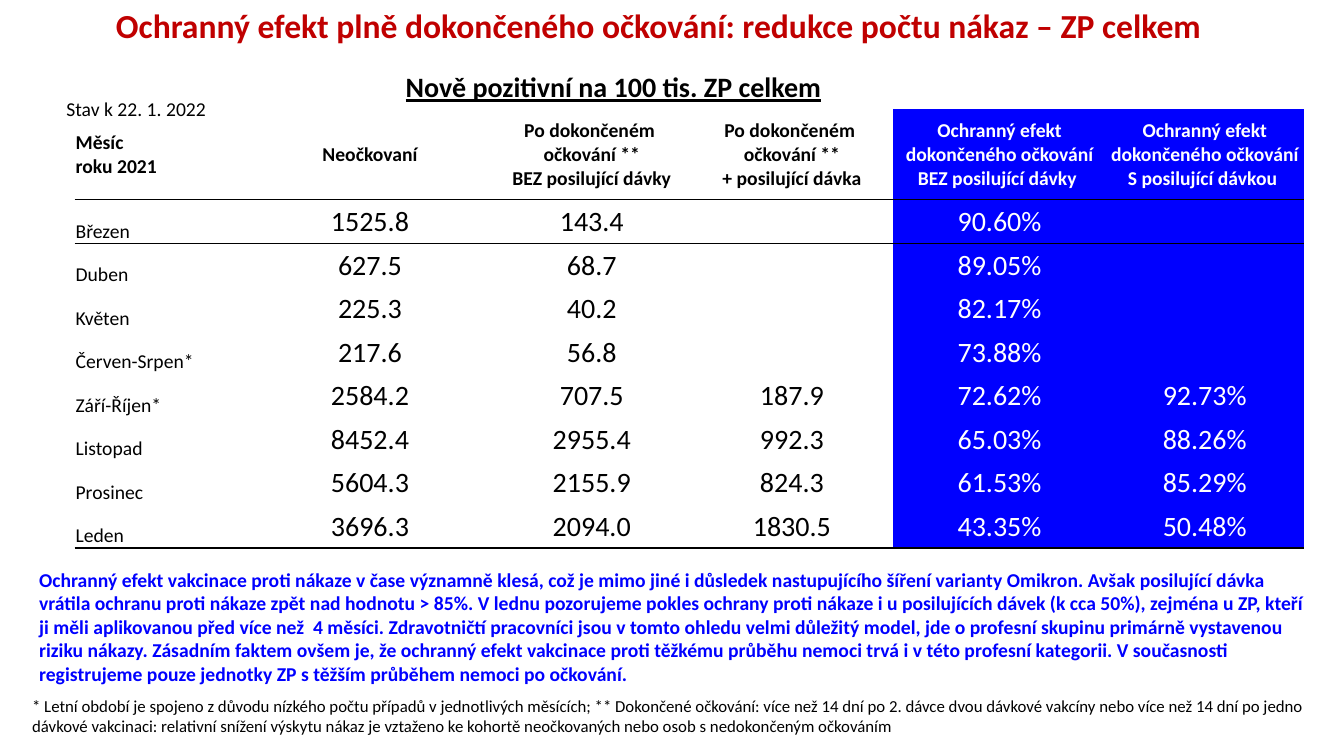
from lxml import etree
from pptx import Presentation
from pptx.dml.color import RGBColor
from pptx.enum.text import MSO_ANCHOR as Anchor, MSO_AUTO_SIZE as AutoSize, PP_ALIGN as Align
from pptx.oxml.ns import qn
from pptx.util import Inches, Pt

FONT = "Calibri"
BLACK, WHITE, RED, BLUE = "000000", "FFFFFF", "C00000", "0000FF"
NO_STYLE = "{2D5ABB26-0587-4C30-8999-92F81FD0307C}"

TITLE = "Ochranný efekt plně dokončeného očkování: redukce počtu nákaz – ZP celkem "
SUBTITLE = "Nově pozitivní na 100 tis. ZP celkem"
STATUS = "Stav k 22. 1. 2022"
CONCLUSION = (
    "Ochranný efekt vakcinace proti nákaze v čase významně klesá, což je mimo jiné i důsledek "
    "nastupujícího šíření varianty Omikron. Avšak posilující dávka vrátila ochranu proti nákaze "
    "zpět nad hodnotu > 85%. V lednu pozorujeme pokles ochrany proti nákaze i u posilujících dávek "
    "(k cca 50%), zejména u ZP, kteří ji měli aplikovanou před více než  4 měsíci. Zdravotničtí "
    "pracovníci jsou v tomto ohledu velmi důležitý model, jde o profesní skupinu primárně "
    "vystavenou riziku nákazy. Zásadním faktem ovšem je, že ochranný efekt vakcinace proti těžkému "
    "průběhu nemoci trvá i v této profesní kategorii. V současnosti registrujeme pouze jednotky ZP "
    "s těžším průběhem nemoci po očkování."
)
FOOTNOTE = (
    "* Letní období je spojeno z důvodu nízkého počtu případů v jednotlivých měsících; "
    "** Dokončené očkování: více než 14 dní po 2. dávce dvou dávkové vakcíny nebo více než 14 dní "
    "po jedno dávkové vakcinaci: relativní snížení výskytu nákaz je vztaženo ke kohortě "
    "neočkovaných nebo osob s nedokončeným očkováním"
)

HEADERS = [
    ["Měsíc", "roku 2021"],
    ["Neočkovaní"],
    ["Po dokončeném ", "očkování **", "BEZ posilující dávky"],
    ["Po dokončeném ", "očkování **", "+ posilující dávka"],
    ["Ochranný efekt dokončeného očkování BEZ posilující dávky "],
    ["Ochranný efekt dokončeného očkování S posilující dávkou "],
]
MONTHS = [
    ("Březen", "1525.8", "143.4", "", "90.60%", ""),
    ("Duben", "627.5", "68.7", "", "89.05%", ""),
    ("Květen", "225.3", "40.2", "", "82.17%", ""),
    ("Červen-Srpen*", "217.6", "56.8", "", "73.88%", ""),
    ("Září-Říjen*", "2584.2", "707.5", "187.9", "72.62%", "92.73%"),
    ("Listopad", "8452.4", "2955.4", "992.3", "65.03%", "88.26%"),
    ("Prosinec", "5604.3", "2155.9", "824.3", "61.53%", "85.29%"),
    ("Leden", "3696.3", "2094.0", "1830.5", "43.35%", "50.48%"),
]
COLUMN_WIDTHS = [1.71, 2.44, 1.96, 2.01, 2.11, 1.96]
TABLE_BOX = (0.74, 0.65, 12.19, 4.79)
HEADER_HEIGHT = 0.9
FIRST_EFFECT_COLUMN = 4


def rgb(color):
    return RGBColor.from_string(color)


def write(frame, lines, size, color=BLACK, bold=False, underline=False, align=Align.LEFT):
    for i, line in enumerate(lines):
        paragraph = frame.paragraphs[0] if i == 0 else frame.add_paragraph()
        paragraph.alignment = align
        run = paragraph.add_run()
        run.text = line
        font = run.font
        font.name, font.size, font.bold = FONT, Pt(size), bold
        font.underline = underline
        font.color.rgb = rgb(color)


def add_text(slide, box, text, size, **style):
    frame = slide.shapes.add_textbox(*map(Inches, box)).text_frame
    frame.word_wrap = True
    frame.auto_size = AutoSize.SHAPE_TO_FIT_TEXT
    write(frame, [text], size, **style)


def add_border(cell, side):
    line = etree.SubElement(cell._tc.get_or_add_tcPr(), qn(f"a:ln{side}"), w=str(Pt(1)))
    fill = etree.SubElement(line, qn("a:solidFill"))
    etree.SubElement(fill, qn("a:srgbClr"), val=BLACK)


def format_cell(cell, is_effect):
    cell.margin_left = cell.margin_right = cell.margin_top = Inches(0.01)
    cell.margin_bottom = 0
    cell.vertical_anchor = Anchor.MIDDLE
    if is_effect:
        cell.fill.solid()
        cell.fill.fore_color.rgb = rgb(BLUE)
    else:
        cell.fill.background()


def add_month_table(slide):
    row_count = len(MONTHS) + 2
    frame = slide.shapes.add_table(row_count, len(HEADERS), *map(Inches, TABLE_BOX))
    table = frame.table
    table.first_row = table.horz_banding = False
    table._tbl.tblPr.find(qn("a:tableStyleId")).text = NO_STYLE
    for column, width in zip(table.columns, COLUMN_WIDTHS):
        column.width = Inches(width)
    for row in table.rows:
        row.height = Inches((TABLE_BOX[3] - HEADER_HEIGHT) / (row_count - 1))
    table.rows[1].height = Inches(HEADER_HEIGHT)
    table.cell(0, 2).merge(table.cell(0, 5))

    for c, header in enumerate(HEADERS):
        is_effect = c >= FIRST_EFFECT_COLUMN
        color = WHITE if is_effect else BLACK
        align = Align.CENTER if c else Align.LEFT
        for r, side in ((1, "B"), (2, "T"), (row_count - 1, "B")):
            add_border(table.cell(r, c), side)
        format_cell(table.cell(0, c), False)
        header_cell = table.cell(1, c)
        format_cell(header_cell, is_effect)
        write(header_cell.text_frame, header, 14, color, bold=True, align=align)
        for r, month in enumerate(MONTHS, start=2):
            cell = table.cell(r, c)
            format_cell(cell, is_effect)
            if c == 0:
                cell.vertical_anchor = Anchor.BOTTOM
            if month[c]:
                write(cell.text_frame, [month[c]], 20 if c else 14, color, align=align)


def main():
    deck = Presentation()
    deck.slide_width, deck.slide_height = Inches(13.33), Inches(7.5)
    slide = deck.slides.add_slide(deck.slide_layouts[5])

    title = slide.shapes.title
    title.left, title.top, title.width, title.height = map(Inches, (0.22, 0.04, 12.7, 1.45))
    title.text_frame.vertical_anchor = Anchor.TOP
    title.text_frame.auto_size = AutoSize.NONE
    write(title.text_frame, [TITLE], 24, RED, bold=True, align=Align.CENTER)
    title.text_frame.paragraphs[0].line_spacing = 0.9

    add_text(slide, (3.87, 0.64, 4.43, 0.44), SUBTITLE, 20,
             bold=True, underline=True, align=Align.CENTER)
    add_text(slide, (0.22, 6.85, 12.99, 0.5), FOOTNOTE, 12)
    add_text(slide, (0.29, 5.58, 12.87, 1.28), CONCLUSION, 14, color=BLUE, bold=True)
    add_month_table(slide)
    add_text(slide, (0.56, 0.91, 2.21, 0.34), STATUS, 14)
    deck.save("out.pptx")


if __name__ == "__main__":
    main()
